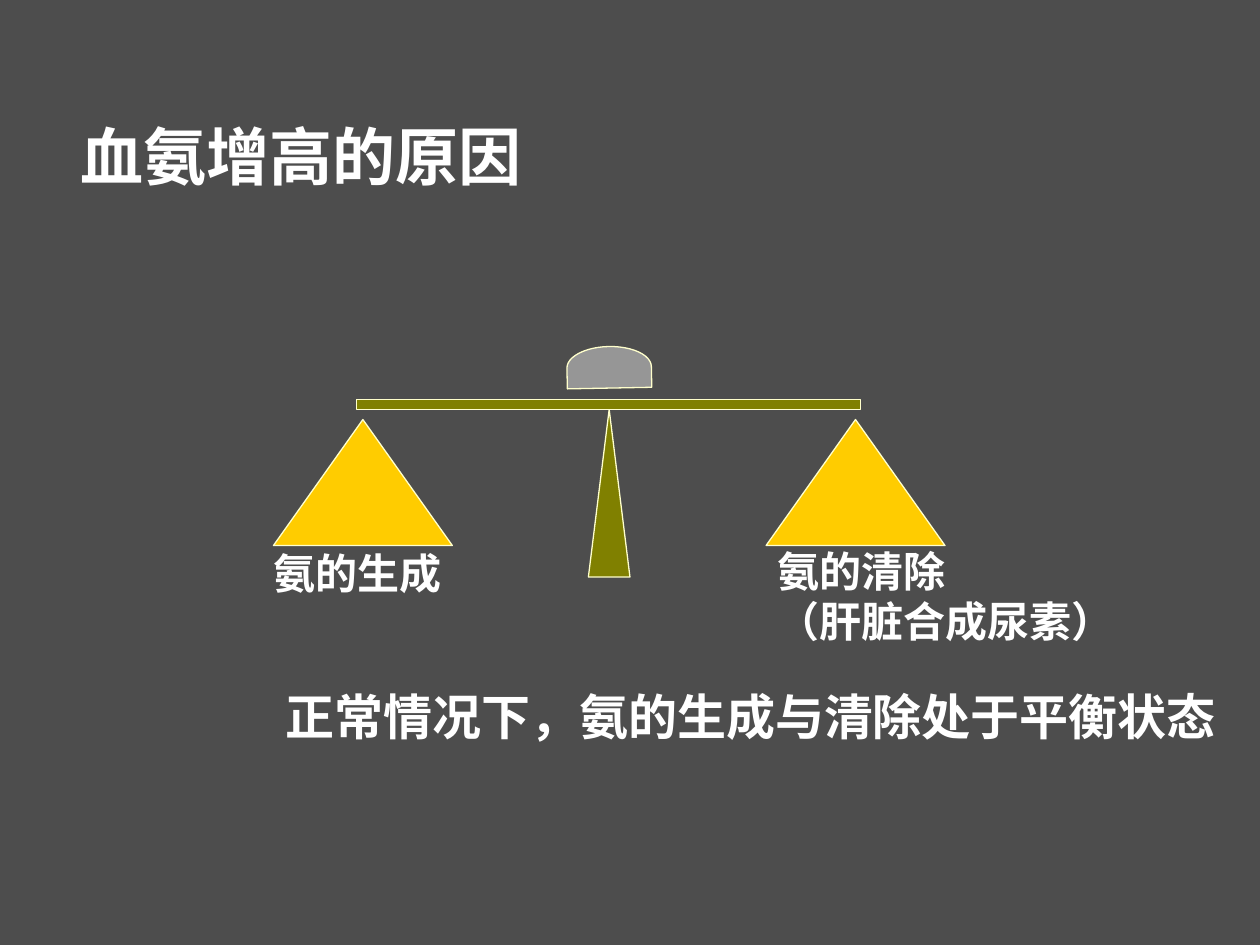
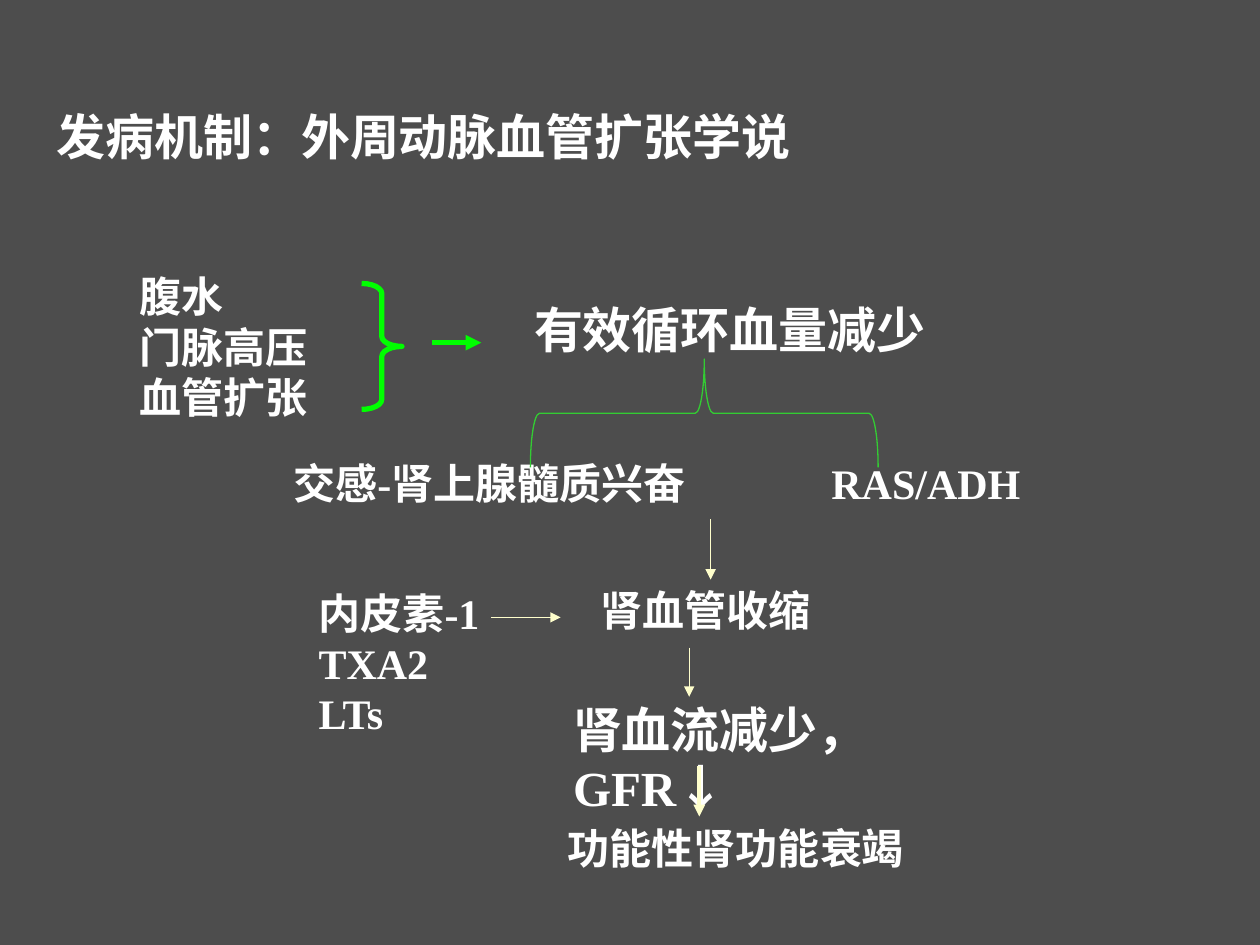
import collections
import pptx
import pptx.dml.color
import pptx.enum.shapes
import pptx.enum.text
import pptx.oxml
import pptx.oxml.ns
import pptx.util
from pptx.util import Inches

SHAPES = pptx.enum.shapes.MSO_SHAPE
Box = collections.namedtuple("Box", "left top width height")


class Theme:
    background, text, outline = "4D4D4D", "FFFFFF", "FFFFCC"
    beam, pan, load = "808000", "FFCC00", "969696"
    cause, branch = "00FF00", "33CC33"
    latin, asian = "Times New Roman", "Noto Sans CJK SC"
    title, statement, label = 36, 28, 24
    thin, medium, thick = 0.75, 2.25, 3


def rgb(code):
    return pptx.dml.color.RGBColor.from_string(code)


def within(region, left, top, width, height):
    """Turn a place inside a region into a place on the page."""
    return Box(region.left + left, region.top + top, width, height)


def lengths(box):
    return [Inches(value) for value in box]


def add_page(deck):
    page = deck.slides.add_slide(deck.slide_layouts[6])
    page.background.fill.solid()
    page.background.fill.fore_color.rgb = rgb(Theme.background)
    return page


def add_span(para, text, size, latin):
    span = para.add_run()
    span.text = text
    font = span.font
    font.size, font.bold, font.name = pptx.util.Pt(size), True, latin
    font.color.rgb = rgb(Theme.text)
    asian = pptx.oxml.parse_xml(
        f'<a:ea {pptx.oxml.ns.nsdecls("a")} typeface="{Theme.asian}"/>')
    font._element.find(pptx.oxml.ns.qn("a:latin")).addnext(asian)


def add_text(page, box, lines, size=Theme.label, latin=Theme.latin):
    frame = page.shapes.add_textbox(*lengths(box)).text_frame
    frame.word_wrap = True
    for index, line in enumerate(lines):
        para = frame.add_paragraph() if index else frame.paragraphs[0]
        add_span(para, line, size, latin)
    return frame


def add_figure(page, kind, box, fill=None, line=Theme.outline,
               width=Theme.thin, rotation=0):
    shape = page.shapes.add_shape(kind, *lengths(box))
    shape.shadow.inherit = False
    shape.rotation = rotation
    if fill:
        shape.fill.solid()
        shape.fill.fore_color.rgb = rgb(fill)
    else:
        shape.fill.background()
    shape.line.color.rgb = rgb(line)
    shape.line.width = pptx.util.Pt(width)
    return shape


def add_arrow(page, box, color=Theme.outline, width=Theme.thin):
    """Draw an arrow from the top left to the bottom right of a box."""
    arrow = page.shapes.add_connector(
        pptx.enum.shapes.MSO_CONNECTOR.STRAIGHT,
        Inches(box.left), Inches(box.top),
        Inches(box.left + box.width), Inches(box.top + box.height))
    arrow.line.color.rgb = rgb(color)
    arrow.line.width = pptx.util.Pt(width)
    names = pptx.oxml.ns.nsdecls("a")
    arrow.line._get_or_add_ln().append(
        pptx.oxml.parse_xml(f'<a:tailEnd {names} type="triangle"/>'))
    arrow._element.spPr.append(pptx.oxml.parse_xml(f"<a:effectLst {names}/>"))


def draw_scale(page, region):
    # Post, beam and load share the centre line
    centre = 2.66
    add_figure(page, SHAPES.ISOSCELES_TRIANGLE,
               within(region, centre - 0.16, 0.67, 0.33, 1.33), Theme.beam)
    add_figure(page, SHAPES.RECTANGLE,
               within(region, centre - 2, 0.59, 4, 0.08), Theme.beam)
    add_figure(page, SHAPES.FLOWCHART_DELAY,
               within(region, centre - 0.16, 0, 0.33, 0.67), Theme.load,
               rotation=268.9)
    # Pans
    for left in (0, 3.91):
        add_figure(page, SHAPES.ISOSCELES_TRIANGLE,
                   within(region, left, 0.75, 1.42, 1), Theme.pan)
    # Pan labels
    add_text(page, within(region, -0.1, 1.72, 2.15, 0.5), ["氨的生成"])
    add_text(page, within(region, 3.9, 1.7, 3.5, 0.9),
             ["氨的清除", "（肝脏合成尿素）"])


def draw_causes(page, region):
    # Three causes, brace and arrow to the result
    add_text(page, within(region, 0, 0, 1.65, 1.3),
             ["腹水", "门脉高压", "血管扩张"])
    brace = add_figure(page, SHAPES.RIGHT_BRACE,
                       within(region, 1.86, 0.15, 0.32, 1),
                       line=Theme.cause, width=Theme.thick)
    brace.adjustments[0] = 0.25
    add_arrow(page, within(region, 2.42, 0.62, 0.39, 0),
              Theme.cause, Theme.thick)
    add_text(page, within(region, 3.13, 0.23, 3.45, 0.57),
             ["有效循环血量减少"], Theme.statement)


def draw_responses(page, region):
    # Brace turned upwards over the two responses
    add_text(page, within(region, 0, 0.73, 3.6, 0.5), ["交感-肾上腺髓质兴奋"])
    add_figure(page, SHAPES.RIGHT_BRACE, within(region, 2.93, -0.95, 0.86, 2.76),
               line=Theme.branch, rotation=270)
    add_text(page, within(region, 4.27, 0.73, 1.8, 0.5), ["RAS/ADH"])


def draw_kidney_chain(page, region):
    # Mediators acting from the side
    add_text(page, within(region, 0, 0.49, 1.7, 1.3), ["内皮素-1", "TXA2", "LTs"])
    add_arrow(page, within(region, 1.47, 0.78, 0.55, 0))
    # Chain of events
    add_arrow(page, within(region, 3.21, 0, 0, 0.48))
    add_text(page, within(region, 2.24, 0.47, 2, 0.5), ["肾血管收缩"])
    add_arrow(page, within(region, 3.04, 1.02, 0, 0.39))
    flow = add_text(page, within(region, 2.02, 1.38, 3.77, 1.03),
                    ["肾血流减少，"], Theme.statement).paragraphs[0]
    flow.add_line_break()
    add_span(flow, "GFR", Theme.statement, Theme.latin)
    add_span(flow, "↓", Theme.statement, Theme.asian)
    add_arrow(page, within(region, 3.12, 1.96, 0, 0.4), width=Theme.medium)
    add_text(page, within(region, 1.98, 2.36, 3, 0.5), ["功能性肾功能衰竭"])


def build_balance_page(deck):
    page = add_page(deck)
    draw_scale(page, Box(2.17, 2.58, 7.4, 2.6))
    add_text(page, Box(0.54, 0.88, 3.85, 0.7), ["血氨增高的原因"], Theme.title)
    add_text(page, Box(2.17, 5.4, 7.83, 0.57),
             ["正常情况下，氨的生成与清除处于平衡状态"], Theme.statement)


def build_mechanism_page(deck):
    page = add_page(deck)
    draw_causes(page, Box(1.01, 2.1, 6.58, 1.3))
    draw_kidney_chain(page, Box(2.43, 4.12, 5.79, 2.86))
    title = add_text(page, Box(0.35, 0.56, 8.5, 0.8),
                     ["发病机制：外周动脉血管扩张学说"],
                     Theme.statement, Theme.asian)
    title.vertical_anchor = pptx.enum.text.MSO_ANCHOR.MIDDLE
    title.paragraphs[0].line_spacing = 1.5
    draw_responses(page, Box(2.23, 2.85, 6.07, 1.23))


def main():
    deck = pptx.Presentation()
    deck.slide_width, deck.slide_height = Inches(10), Inches(7.5)
    build_balance_page(deck)
    build_mechanism_page(deck)
    deck.save("out.pptx")


if __name__ == "__main__":
    main()
